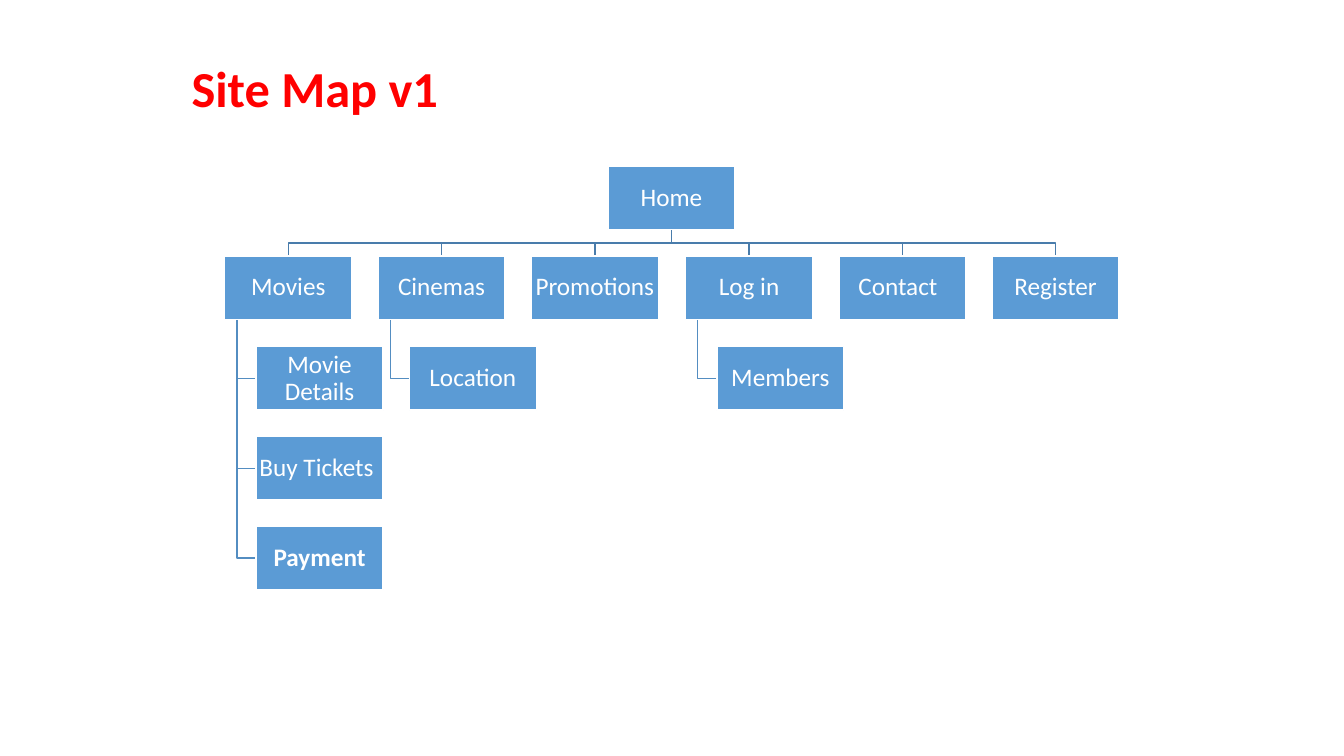
import dataclasses

import pptx
import pptx.dml.color
import pptx.enum.shapes
import pptx.enum.text
import pptx.util

EMU_PER_PX = 9144
BOX_WIDTH, BOX_HEIGHT = 126, 63
FIRST_LEFT, COLUMN_STEP = 223, 152.2
FIRST_TOP, ROW_STEP = 165, 89.25
CHILD_INDENT, SPINE_INDENT = 31, 12
HOME_LEFT, BUS_Y = 603, 241

# Section name and its child pages
SECTIONS = [
    ("Movies", ["Movie Details", "Buy Tickets", "Payment"]),
    ("Cinemas", ["Location"]),
    ("Promotions", []),
    ("Log in", ["Members"]),
    ("Contact", []),
    ("Register", []),
]
BOLD_PAGES = {"Payment"}
RIGHT_INSETS = {"Buy Tickets": 7, "Contact": 10}


@dataclasses.dataclass(frozen=True)
class Theme:
    font: str = "Calibri"
    title_color: str = "FF0000"
    title_size: int = 36
    box_fill: str = "5B9BD5"
    box_text: str = "FFFFFF"
    box_border: str = "FFFFFF"
    box_size: int = 18
    section_line: str = "497CAB"
    page_line: str = "538DC1"
    line_width: int = 1


def px(length):
    return pptx.util.Emu(round(length * EMU_PER_PX))


def rgb(value):
    return pptx.dml.color.RGBColor.from_string(value)


def row_top(row):
    return round(FIRST_TOP + row * ROW_STEP)


def section_left(column):
    return round(FIRST_LEFT + column * COLUMN_STEP)


def write_text(frame, text, *, font, size, color, bold=False, align=None, spacing=None):
    paragraph = frame.paragraphs[0]
    paragraph.alignment = align
    paragraph.line_spacing = spacing
    run = paragraph.add_run()
    run.text = text
    run.font.name = font
    run.font.size = pptx.util.Pt(size)
    run.font.bold = bold
    run.font.color.rgb = rgb(color)


class SiteMapSlide:
    def __init__(self, presentation, theme):
        self.theme = theme
        self.slide = presentation.slides.add_slide(presentation.slide_layouts[5])

    def title(self, text, left, top, width, height):
        shape = self.slide.shapes.title
        shape.left, shape.top = px(left), px(top)
        shape.width, shape.height = px(width), px(height)
        frame = shape.text_frame
        frame.word_wrap = True
        frame.auto_size = pptx.enum.text.MSO_AUTO_SIZE.NONE
        frame.vertical_anchor = pptx.enum.text.MSO_ANCHOR.TOP
        write_text(frame, text, font=self.theme.font, size=self.theme.title_size,
                   color=self.theme.title_color, bold=True,
                   align=pptx.enum.text.PP_ALIGN.LEFT)

    def box(self, text, left, top):
        shape = self.slide.shapes.add_shape(
            pptx.enum.shapes.MSO_SHAPE.RECTANGLE,
            px(left), px(top), px(BOX_WIDTH), px(BOX_HEIGHT))
        shape.shadow.inherit = False
        shape.fill.solid()
        shape.fill.fore_color.rgb = rgb(self.theme.box_fill)
        shape.line.color.rgb = rgb(self.theme.box_border)
        shape.line.width = pptx.util.Pt(self.theme.line_width)
        frame = shape.text_frame
        frame.word_wrap = True
        frame.vertical_anchor = pptx.enum.text.MSO_ANCHOR.MIDDLE
        frame.margin_left = frame.margin_top = frame.margin_bottom = px(1)
        frame.margin_right = px(RIGHT_INSETS.get(text, 1))
        write_text(frame, text, font=self.theme.font, size=self.theme.box_size,
                   color=self.theme.box_text, bold=text in BOLD_PAGES,
                   align=pptx.enum.text.PP_ALIGN.CENTER, spacing=0.9)

    def branch(self, points, color):
        """Draw an open, bent line from a parent box to a child box."""
        start, *corners = [(px(x), px(y)) for x, y in points]
        builder = self.slide.shapes.build_freeform(*start)
        builder.add_line_segments(corners, close=False)
        shape = builder.convert_to_shape()
        shape.shadow.inherit = False
        shape.fill.background()
        shape.line.color.rgb = rgb(color)
        shape.line.width = pptx.util.Pt(self.theme.line_width)

    def branches(self):
        home_x = HOME_LEFT + BOX_WIDTH / 2
        for column, (_, pages) in enumerate(SECTIONS):
            left = section_left(column)
            center = left + BOX_WIDTH / 2
            self.branch([(home_x, row_top(0) + BOX_HEIGHT), (home_x, BUS_Y),
                         (center, BUS_Y), (center, row_top(1))],
                        self.theme.section_line)
            spine = left + SPINE_INDENT
            for row in range(2, 2 + len(pages)):
                middle = row_top(row) + BOX_HEIGHT / 2
                self.branch([(spine, row_top(1) + BOX_HEIGHT), (spine, middle),
                             (left + CHILD_INDENT, middle)],
                            self.theme.page_line)

    def boxes(self):
        self.box("Home", HOME_LEFT, row_top(0))
        for column, (name, pages) in enumerate(SECTIONS):
            left = section_left(column)
            self.box(name, left, row_top(1))
            for row, page in enumerate(pages, start=2):
                self.box(page, left + CHILD_INDENT, row_top(row))


def main():
    presentation = pptx.Presentation()
    presentation.slide_width, presentation.slide_height = px(1333), px(750)
    slide = SiteMapSlide(presentation, Theme())
    slide.title("Site Map v1", 180, 52, 822, 71)
    slide.branches()
    slide.boxes()
    presentation.save("out.pptx")


if __name__ == "__main__":
    main()
